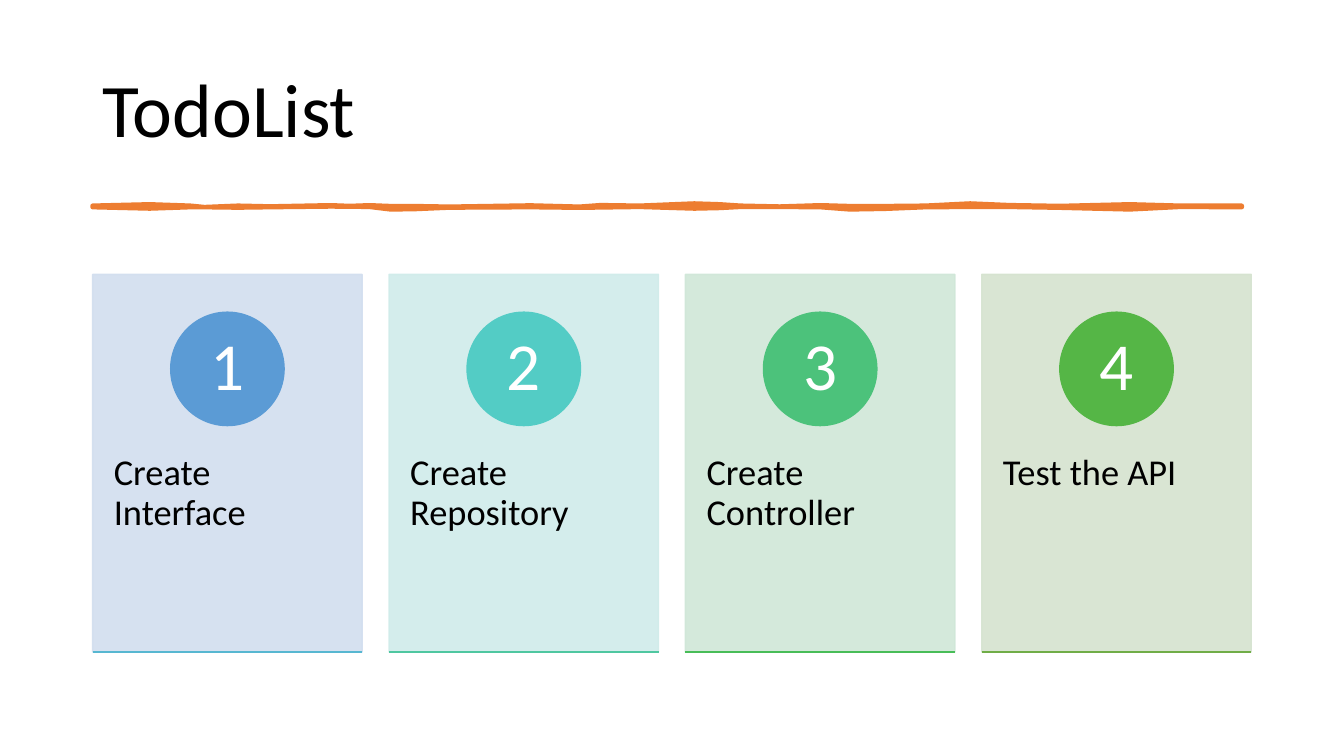
from lxml import etree
from pptx import Presentation
from pptx.dml.color import RGBColor
from pptx.enum.shapes import MSO_CONNECTOR, MSO_SHAPE
from pptx.enum.text import MSO_ANCHOR, MSO_AUTO_SIZE, PP_ALIGN
from pptx.oxml.ns import qn
from pptx.util import Pt

RECT, OVAL = MSO_SHAPE.RECTANGLE, MSO_SHAPE.OVAL
LINE = MSO_CONNECTOR.STRAIGHT
TOP, MIDDLE = MSO_ANCHOR.TOP, MSO_ANCHOR.MIDDLE
LEFT, CENTER = PP_ALIGN.LEFT, PP_ALIGN.CENTER
FIXED = MSO_AUTO_SIZE.NONE

BLACK = RGBColor(0x00, 0x00, 0x00)
WHITE = RGBColor(0xFF, 0xFF, 0xFF)
ORANGE = RGBColor(0xED, 0x7D, 0x31)
# Card, badge and base line of each step
BLUE = (RGBColor(0xD2, 0xDE, 0xEF), RGBColor(0x5B, 0x9B, 0xD5), RGBColor(0x57, 0xB7, 0xD1))
TEAL = (RGBColor(0xD0, 0xEC, 0xEA), RGBColor(0x53, 0xCC, 0xC5), RGBColor(0x4F, 0xC7, 0xA0))
GREEN = (RGBColor(0xD0, 0xE7, 0xD8), RGBColor(0x4C, 0xC2, 0x7B), RGBColor(0x48, 0xBD, 0x58))
OLIVE = (RGBColor(0xD5, 0xE3, 0xCF), RGBColor(0x55, 0xB6, 0x46), RGBColor(0x70, 0xAD, 0x47))

STEPS = [
    ("Create Interface", BLUE),
    ("Create Repository", TEAL),
    ("Create Controller", GREEN),
    ("Test the API", OLIVE),
]
EDGE, PITCH, WIDE = 66.2, 211.7, 192.5
CARD_TOP, BASE = 196, 465.8
BADGE, BADGE_TOP = 81, 223

# Brush stroke: x, upper edge, lower edge
BRUSH = [
    (66.2, 147, 148), (107, 146, 149), (136, 147, 148), (146, 148, 148),
    (170, 147, 148.3), (193, 147.5, 148), (236, 146.7, 147.5), (250, 147.2, 147.6),
    (264, 146.7, 147.8), (279, 147.3, 149.6), (296, 147.3, 149.4), (321, 147.7, 148.3),
    (379, 146.8, 148), (414, 147.7, 148.4), (429, 146.6, 148.2), (457, 147, 147.8),
    (496, 145.4, 149), (514, 146, 148.6), (529, 147, 147.8), (557, 147.6, 147.8),
    (586, 146.7, 148), (607, 147.3, 149.6), (632, 147.3, 149.2), (661, 147, 148),
    (693, 145.4, 147.8), (721, 146.6, 147.8), (757, 147.2, 148.4), (807, 146, 149.6),
    (843, 147, 147.8), (887, 147, 148),
]


class Deck:
    def __init__(self):
        self.prs = Presentation()
        self.prs.slide_width, self.prs.slide_height = Pt(960), Pt(540)
        self.slide = self.prs.slides.add_slide(self.prs.slide_layouts[5])
        self.shapes = self.slide.shapes
        self.font = "Calibri"

    def text(self, shape, words, size, color, align, anchor, pad):
        frame = shape.text_frame
        frame.text = words
        look = {
            "word_wrap": True, "auto_size": FIXED, "vertical_anchor": anchor,
            "margin_left": Pt(pad[0]), "margin_right": Pt(pad[0]),
            "margin_top": Pt(pad[1]), "margin_bottom": Pt(pad[1]),
        }
        para = frame.paragraphs[0]
        lines = {"alignment": align, "line_spacing": 0.9}
        face = {"name": self.font, "size": Pt(size), "bold": False}
        for part, values in ((frame, look), (para, lines), (para.font, face)):
            for name, value in values.items():
                setattr(part, name, value)
        para.font.color.rgb = color

    def paint(self, shape, color, width=1, alpha=None):
        shape.shadow.inherit = False
        shape.fill.solid()
        shape.fill.fore_color.rgb = color
        shape.line.color.rgb = color
        shape.line.width = Pt(width)
        if alpha:
            for tint in shape.element.iter(qn("a:srgbClr")):
                etree.SubElement(tint, qn("a:alpha"), val=str(alpha * 1000))

    def title(self, words, box):
        shape = self.shapes.title
        for name, value in zip(("left", "top", "width", "height"), box):
            setattr(shape, name, Pt(value))
        self.text(shape, words, 54, BLACK, LEFT, MIDDLE, (7.2, 3.6))

    def shape(self, kind, box, color, alpha=None):
        shape = self.shapes.add_shape(kind, *map(Pt, box))
        self.paint(shape, color, alpha=alpha)
        return shape

    def label(self, words, box):
        shape = self.shapes.add_textbox(*map(Pt, box))
        self.text(shape, words, 26, BLACK, LEFT, TOP, (15.1, 26))

    def badge(self, words, box, color):
        shape = self.shape(OVAL, box, color)
        self.text(shape, words, 48, WHITE, CENTER, MIDDLE, (6.5, 1))

    def rule(self, x, y, width, color):
        line = self.shapes.add_connector(LINE, Pt(x), Pt(y), Pt(x + width), Pt(y))
        line.line.color.rgb = color
        line.line.width = Pt(1)
        etree.SubElement(line.element.spPr, qn("a:effectLst"))

    def brush(self, rows, color):
        """Draw a closed band through the upper and then the lower edge."""
        upper = [(Pt(x), Pt(top)) for x, top, low in rows]
        lower = [(Pt(x), Pt(low)) for x, top, low in reversed(rows)]
        form = self.shapes.build_freeform(*upper[0])
        form.add_line_segments(upper[1:] + lower, close=True)
        self.paint(form.convert_to_shape(), color, 3.25)


def main():
    deck = Deck()
    deck.title("TodoList", (66.2, 28.8, 828, 104.4))
    deck.brush(BRUSH, ORANGE)
    for i, (words, (card, badge, base)) in enumerate(STEPS):
        x = EDGE + i * PITCH
        deck.shape(RECT, (x, CARD_TOP, WIDE, BASE - CARD_TOP), card, 90)
        deck.label(words, (x, 298.6, WIDE, 162))
        deck.badge(str(i + 1), (x + (WIDE - BADGE) / 2, BADGE_TOP, BADGE, BADGE), badge)
        deck.rule(x, BASE, WIDE, base)
    deck.prs.save("out.pptx")


if __name__ == "__main__":
    main()
